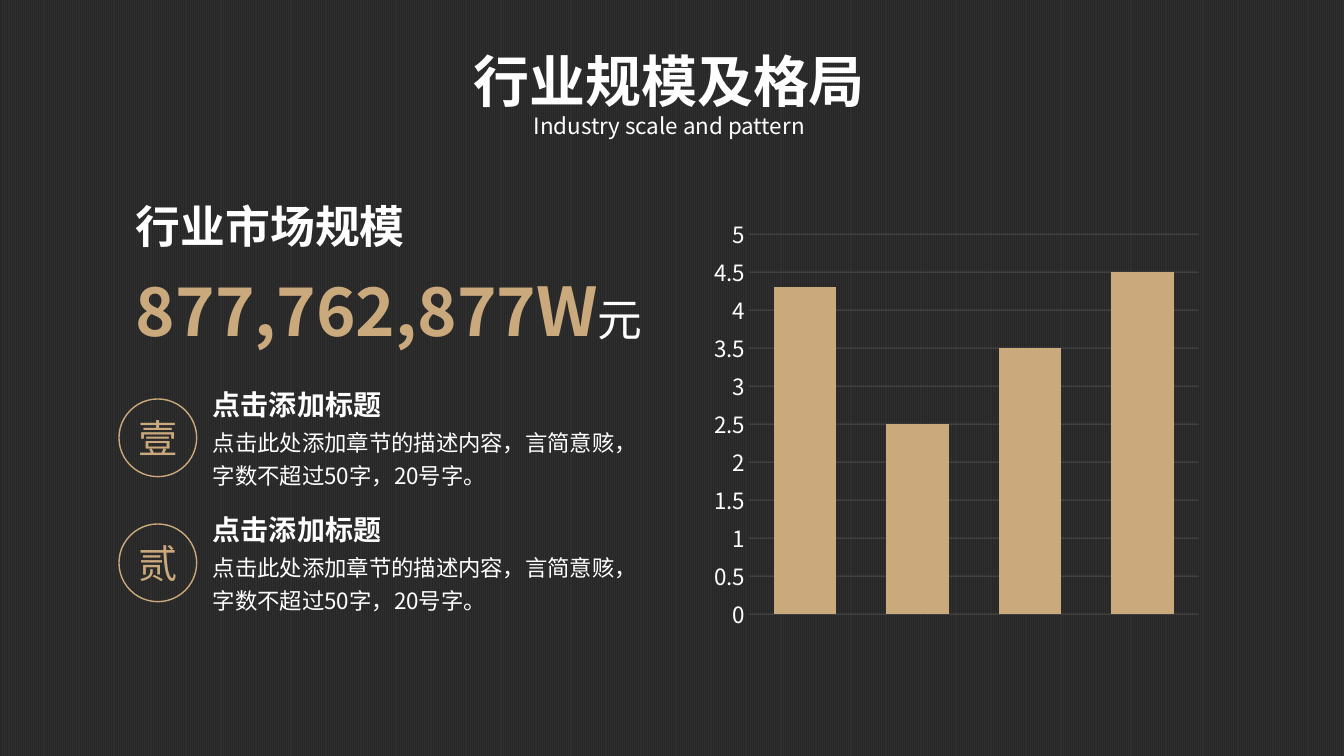
from lxml import etree
from pptx import Presentation
from pptx import util as u
from pptx.chart import data as chart_data
from pptx.dml.color import RGBColor
from pptx.enum import chart as chart_enum, dml, shapes, text
from pptx.oxml import ns, parse_xml

GOLD, WHITE = "CAA97C", "FFFFFF"


def rgb(hex_string):
    return RGBColor.from_string(hex_string)


class SlideBuilder:
    font = "Noto Sans CJK SC"

    def __init__(self, slide):
        self.slide = slide

    def style(self, font, size, color, bold=False):
        font.name, font.size, font.bold = self.font, u.Pt(size), bold
        font.color.rgb = rgb(color)

    def run(self, paragraph, words, size, color=WHITE, bold=False):
        run = paragraph.add_run()
        run.text = words
        self.style(run.font, size, color, bold)
        # Chinese characters take the East Asian typeface
        latin = run.font._element.find(ns.qn("a:latin"))
        east_asian = etree.Element(ns.qn("a:ea"), typeface=self.font)
        latin.addnext(east_asian)

    def text(self, box, lines, align=text.PP_ALIGN.LEFT, spacing=1.0):
        """Each line is a list of (words, size, color, bold) runs."""
        frame = self.slide.shapes.add_textbox(*map(u.Pt, box)).text_frame
        frame.word_wrap = True
        for i, runs in enumerate(lines):
            paragraph = frame.add_paragraph() if i else frame.paragraphs[0]
            paragraph.alignment, paragraph.line_spacing = align, spacing
            for run in runs:
                self.run(paragraph, *run)

    def shape(self, kind, box):
        shape = self.slide.shapes.add_shape(kind, *map(u.Pt, box))
        shape.shadow.inherit = False
        return shape

    def backdrop(self, width, height, front, back):
        backdrop = self.shape(shapes.MSO_SHAPE.RECTANGLE, (0, 0, width, height))
        backdrop.line.fill.background()
        backdrop.fill.patterned()
        backdrop.fill.pattern = dml.MSO_PATTERN.LIGHT_VERTICAL
        backdrop.fill.fore_color.rgb = rgb(front)
        backdrop.fill.back_color.rgb = rgb(back)

    def badge(self, box, numeral):
        badge = self.shape(shapes.MSO_SHAPE.OVAL, box)
        badge.fill.background()
        badge.line.color.rgb, badge.line.width = rgb(GOLD), u.Pt(1)
        frame = badge.text_frame
        frame.margin_left = frame.margin_right = 0
        frame.vertical_anchor = text.MSO_ANCHOR.MIDDLE
        frame.paragraphs[0].alignment = text.PP_ALIGN.CENTER
        self.run(frame.paragraphs[0], numeral, 28, GOLD)

    def columns(self, box, categories, values):
        data = chart_data.CategoryChartData()
        data.categories = categories
        data.add_series("Series 1", values)
        chart = self.slide.shapes.add_chart(
            chart_enum.XL_CHART_TYPE.COLUMN_CLUSTERED, *map(u.Pt, box), data).chart
        chart.has_legend = chart.has_title = False
        chart.font.name, chart.font.size = "Arial", u.Pt(10)
        chart.font.color.rgb = rgb("000000")

        # Columns
        plot = chart.plots[0]
        plot.gap_width, plot.overlap, plot.vary_by_categories = 80, -27, False
        fill = plot.series[0].format.fill
        fill.solid()
        fill.fore_color.rgb = rgb(GOLD)

        # Axes and faint gridlines
        chart.category_axis.visible = False
        axis = chart.value_axis
        axis.minimum_scale, axis.maximum_scale, axis.major_unit = 0, 5, 0.5
        axis.major_tick_mark = axis.minor_tick_mark = chart_enum.XL_TICK_MARK.NONE
        axis.format.line.fill.background()
        self.style(axis.tick_labels.font, 16, WHITE)
        grid = axis.major_gridlines.format.line
        grid.color.rgb, grid.width = rgb("D9D9D9"), u.Pt(0.75)
        grid_color = axis.major_gridlines._xAx.find(
            ".//" + ns.qn("c:majorGridlines")).find(".//" + ns.qn("a:srgbClr"))
        etree.SubElement(grid_color, ns.qn("a:alpha"), val="20000")

        # Plot area inside the chart frame
        area = chart._chartSpace.chart.plotArea
        for layout in area.findall(ns.qn("c:layout")):
            area.remove(layout)
        area.insert(0, parse_xml(
            f'<c:layout {ns.nsdecls("c")}><c:manualLayout>'
            '<c:layoutTarget val="inner"/><c:xMode val="edge"/><c:yMode val="edge"/>'
            '<c:x val="0.09"/><c:y val="0.06"/><c:w val="0.89"/><c:h val="0.89"/>'
            '</c:manualLayout></c:layout>'))


def main():
    deck = Presentation()
    deck.slide_width, deck.slide_height = u.Pt(960), u.Pt(540)
    page = SlideBuilder(deck.slides.add_slide(deck.slide_layouts[6]))
    page.backdrop(960, 540, "2F2F2F", "262626")

    # Heading
    center = text.PP_ALIGN.CENTER
    page.text((215, 30, 526, 55.5), [[("行业规模及格局", 40, WHITE, True)]], center)
    page.text((225, 76.5, 506, 26.5), [[("Industry scale and pattern", 16)]], center)

    # Market size
    page.text((90, 131, 397, 123), [
        [("行业市场规模", 32, WHITE, True)],
        [("877,762,877W", 48, GOLD, True), ("元", 32)],
    ], spacing=1.2)

    # Numbered points
    description = "点击此处添加章节的描述内容，言简意赅，字数不超过50字，20号字。"
    for i, numeral in enumerate("壹贰"):
        top = 285 + i * 89.3
        page.badge((85, top, 55.5, 55.5), numeral)
        page.text((145, top + 14.5, 318, 77), [[(description, 16)]], spacing=1.2)
        page.text((145, top - 12, 171, 31.5), [[("点击添加标题", 20, WHITE, True)]])

    # Market chart
    page.columns((502.5, 149, 361, 305), ["1", "2", "3", "4"], [4.3, 2.5, 3.5, 4.5])
    deck.save("out.pptx")


if __name__ == "__main__":
    main()
